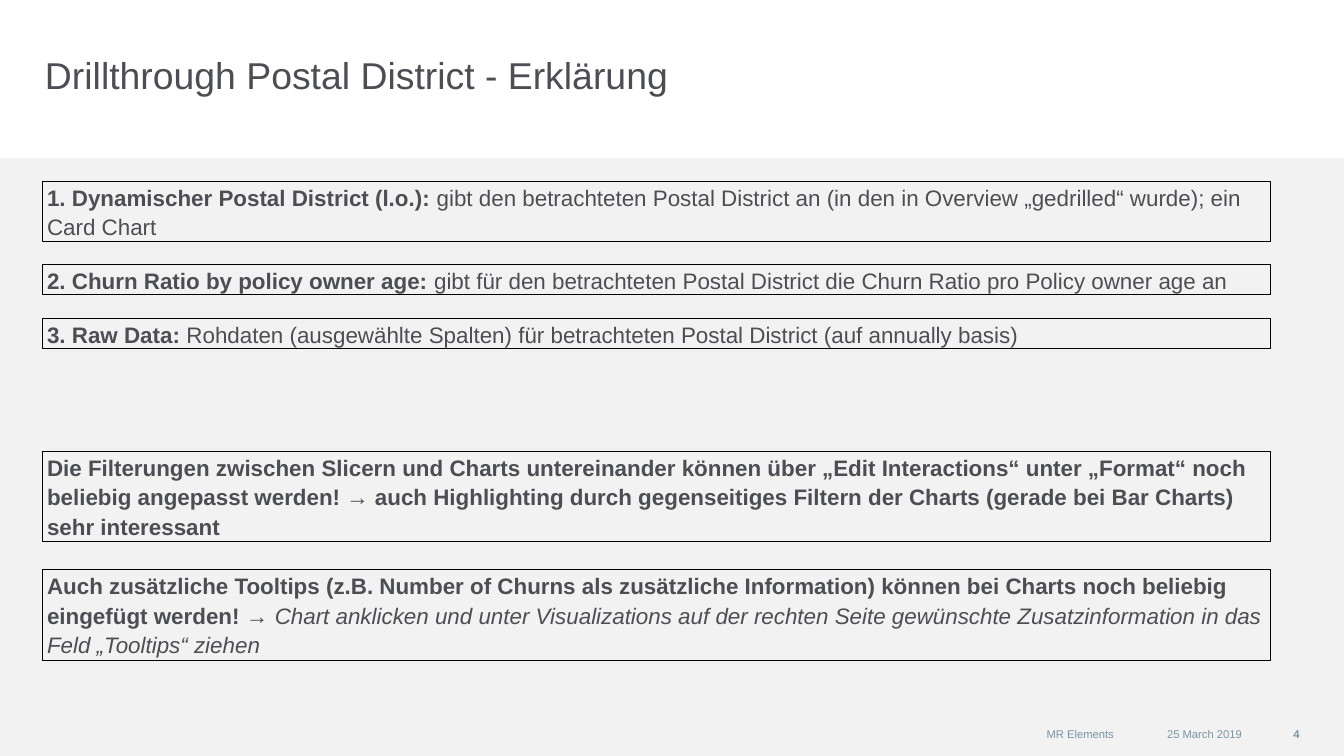
"""Build the slide explaining the Postal District drillthrough page."""
import pptx
import pptx.dml.color
import pptx.enum.shapes
import pptx.enum.text
import pptx.util

Cm = pptx.util.Cm
Pt = pptx.util.Pt
RGBColor = pptx.dml.color.RGBColor
PP_ALIGN = pptx.enum.text.PP_ALIGN
MSO_ANCHOR = pptx.enum.text.MSO_ANCHOR
RECTANGLE = pptx.enum.shapes.MSO_SHAPE.RECTANGLE

TEXT = RGBColor(0x4D, 0x4E, 0x53)
MUTED = RGBColor(0x7A, 0x94, 0xA3)
PANEL = RGBColor(0xF2, 0xF2, 0xF2)
BLACK = RGBColor(0, 0, 0)
FONT = "Arial"

TITLE = "Drillthrough Postal District - Erklärung"
NOTES = [
    {"top": 3.43, "lines": 2, "italic": False,
     "lead": "1. Dynamischer Postal District (l.o.): ",
     "body": "gibt den betrachteten Postal District an (in den in Overview "
             "„gedrilled“ wurde); ein Card Chart"},
    {"top": 5.0, "lines": 1, "italic": False,
     "lead": "2. Churn Ratio by policy owner age: ",
     "body": "gibt für den betrachteten Postal District die Churn Ratio pro "
             "Policy owner age an"},
    {"top": 6.02, "lines": 1, "italic": False,
     "lead": "3. Raw Data: ",
     "body": "Rohdaten (ausgewählte Spalten) für betrachteten Postal District "
             "(auf annually basis)"},
    {"top": 8.53, "lines": 3, "italic": False,
     "lead": "Die Filterungen zwischen Slicern und Charts untereinander können "
             "über „Edit Interactions“ unter „Format“ noch beliebig angepasst "
             "werden! → auch Highlighting durch gegenseitiges Filtern der "
             "Charts (gerade bei Bar Charts) sehr interessant",
     "body": ""},
    {"top": 10.77, "lines": 3, "italic": True,
     "lead": "Auch zusätzliche Tooltips (z.B. Number of Churns als zusätzliche "
             "Information) können bei Charts noch beliebig eingefügt werden! → ",
     "body": "Chart anklicken und unter Visualizations auf der rechten Seite "
             "gewünschte Zusatzinformation in das Feld „Tooltips“ ziehen"},
]
FOOTER = [
    ("MR Elements", 11.05, 10.0, False),
    ("25 March 2019", 21.16, 2.31, False),
    ("4", 23.47, 1.09, True),
]
LINE_HEIGHT = 0.57


def place(sp, left, top, width, height):
    sp.left, sp.top, sp.width, sp.height = map(Cm, (left, top, width, height))


def format_text(sp, size, color, align, anchor, inset=0):
    tf = sp.text_frame
    tf.word_wrap = True
    tf.auto_size = pptx.enum.text.MSO_AUTO_SIZE.NONE
    tf.vertical_anchor = anchor
    tf.margin_left = Cm(inset)
    tf.margin_top = tf.margin_right = tf.margin_bottom = 0
    p = tf.paragraphs[0]
    p.alignment = align
    p.font.name, p.font.size, p.font.color.rgb = FONT, Pt(size), color
    return p


def add_rectangle(s, left, top, width, height):
    sp = s.shapes.add_shape(RECTANGLE, *map(Cm, (left, top, width, height)))
    sp.shadow.inherit = False
    return sp


def add_note(s, note):
    sp = add_rectangle(s, 0.79, note["top"], 23.22, note["lines"] * LINE_HEIGHT)
    sp.fill.background()
    sp.line.color.rgb = BLACK
    sp.line.width = Pt(0.25)
    p = format_text(sp, 12, TEXT, PP_ALIGN.LEFT, MSO_ANCHOR.TOP, 0.1)
    p.line_spacing = 1.1
    r = p.add_run()
    r.text = note["lead"]
    r.font.bold = True
    if note["body"]:
        r = p.add_run()
        r.text = note["body"]
        r.font.italic = note["italic"]


def add_footer(s, text, left, width, bold):
    sp = s.shapes.add_textbox(*map(Cm, (left, 13.59, width, 0.56)))
    sp.text_frame.text = text
    p = format_text(sp, 6, MUTED, PP_ALIGN.RIGHT, MSO_ANCHOR.MIDDLE)
    p.font.bold = bold


def main():
    prs = pptx.Presentation()
    prs.slide_width, prs.slide_height = Cm(25.4), Cm(14.29)
    s = prs.slides.add_slide(prs.slide_layouts[5])

    panel = add_rectangle(s, 0, 2.99, 25.4, 11.3)
    panel.fill.solid()
    panel.fill.fore_color.rgb = PANEL
    panel.line.fill.background()

    title = s.shapes.title
    place(title, 0.85, 0.99, 19.0, 1.55)
    title.text_frame.text = TITLE
    format_text(title, 20, TEXT, PP_ALIGN.LEFT, MSO_ANCHOR.TOP)

    for note in NOTES:
        add_note(s, note)
    for item in FOOTER:
        add_footer(s, *item)
    prs.save("out.pptx")


if __name__ == "__main__":
    main()
